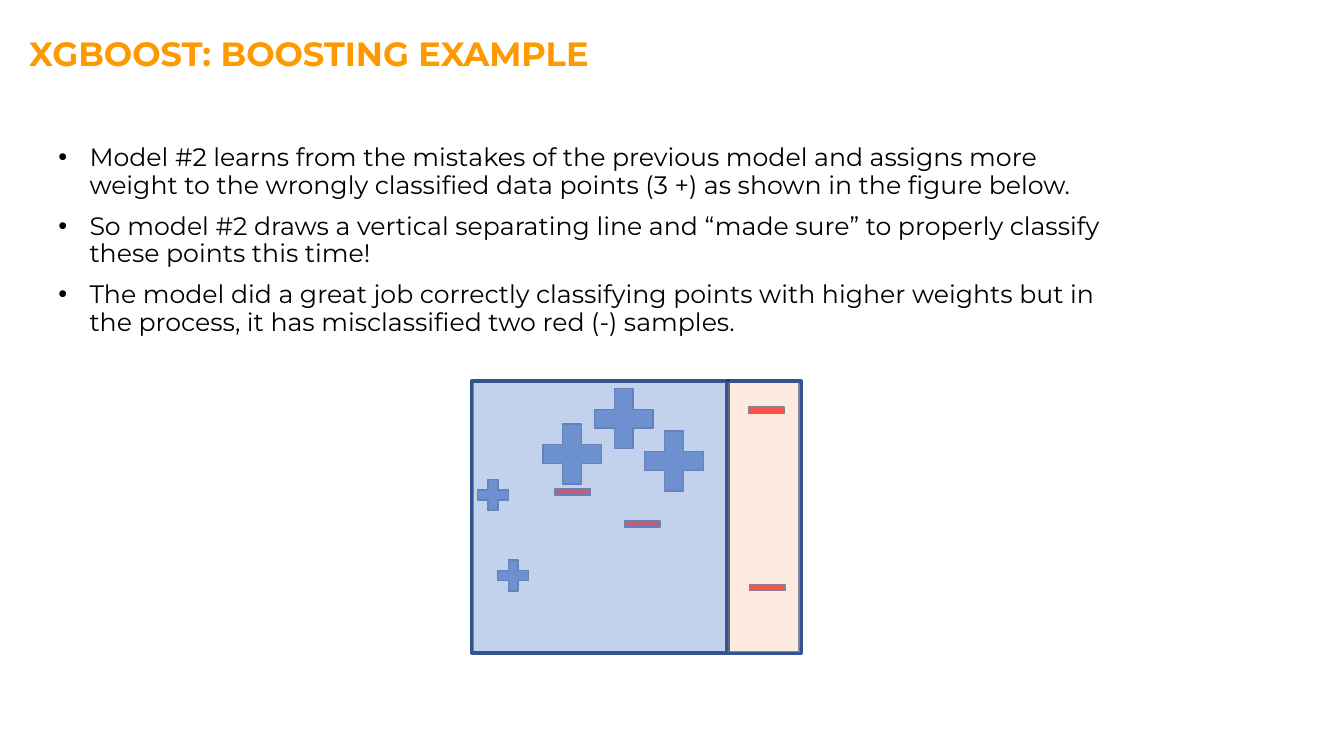
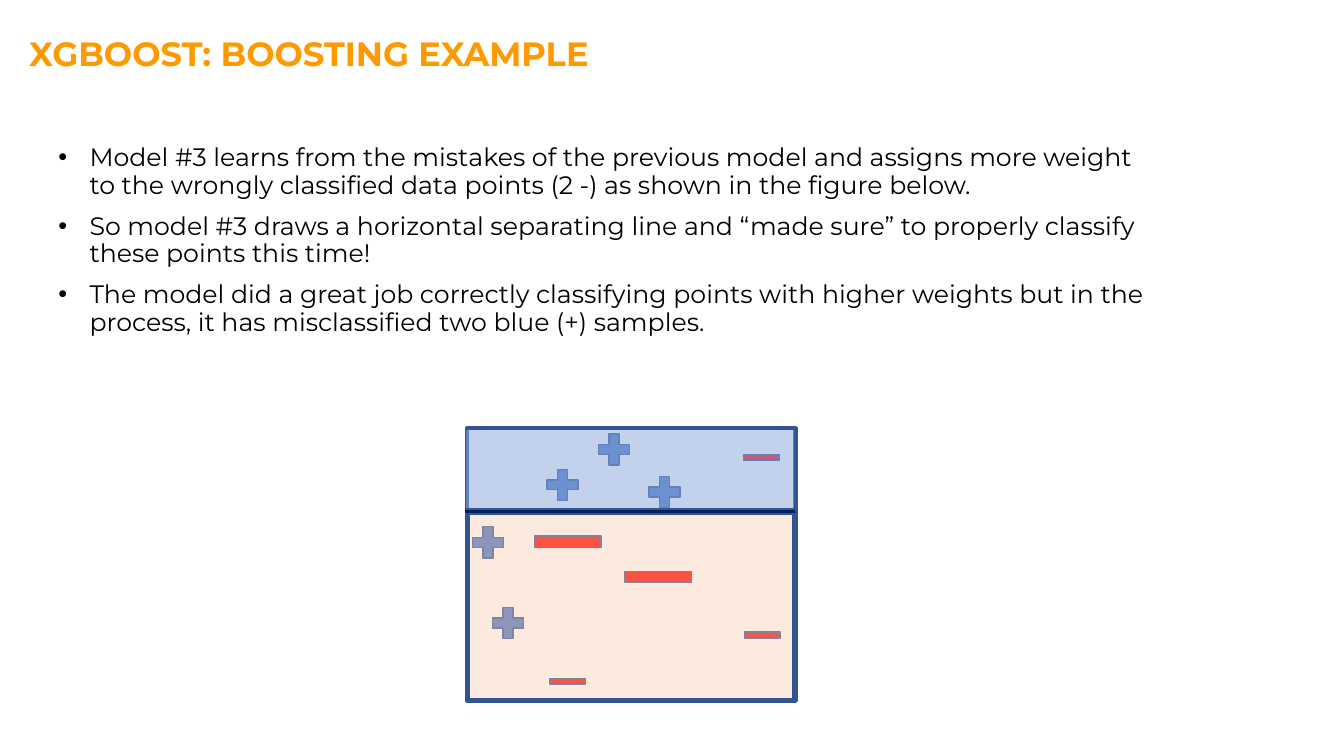
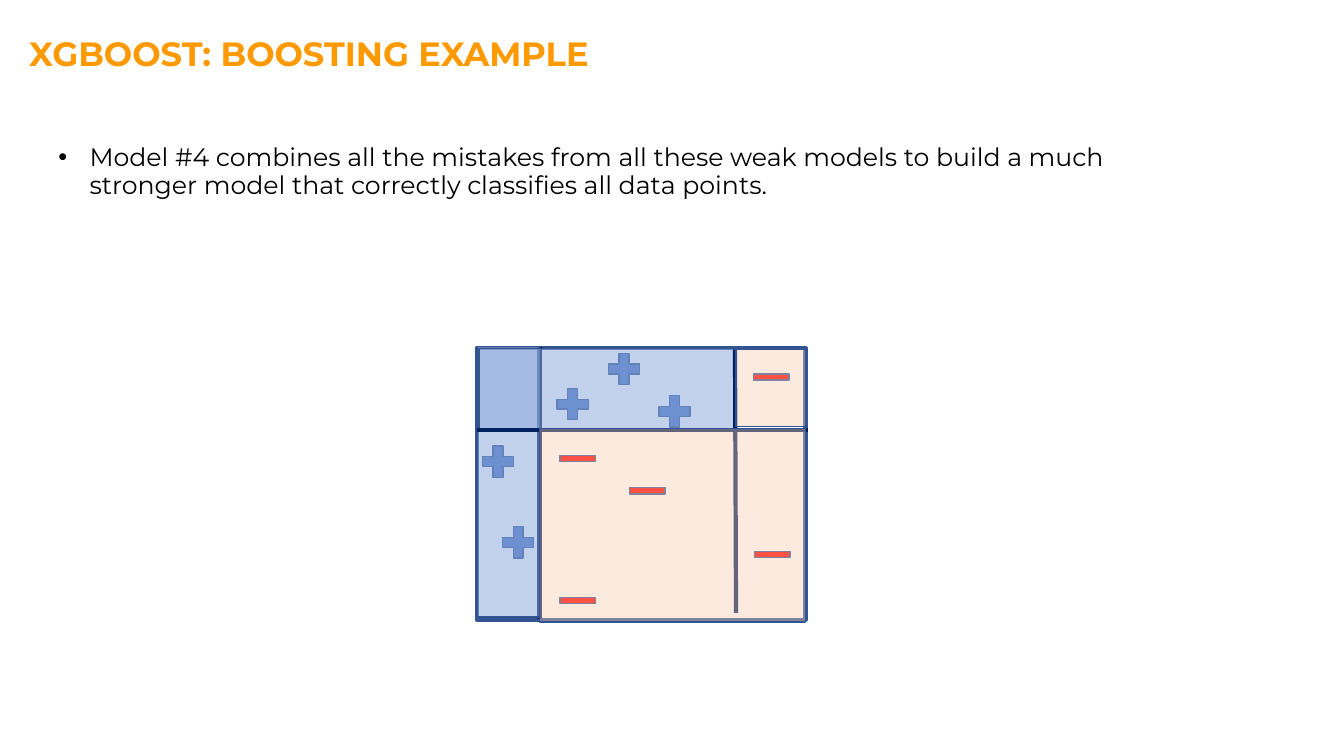
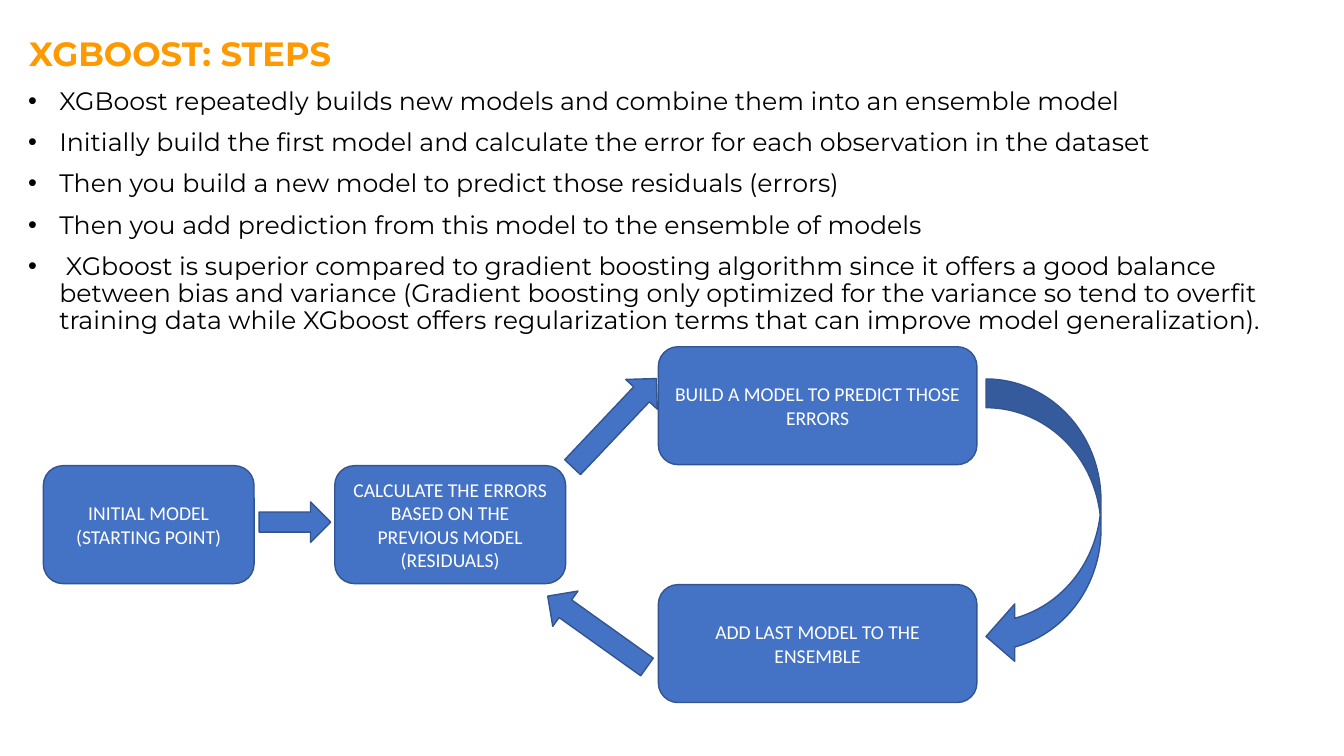
from dataclasses import dataclass

from lxml import etree
from pptx import Presentation
from pptx import util as u
from pptx.dml.color import RGBColor
from pptx.enum import shapes, text
from pptx.oxml import ns


@dataclass(frozen=True)
class Theme:
    title: str = "FF9900"
    ink: str = "000000"
    white: str = "FFFFFF"
    plus: str = "4472C4"
    minus: str = "FF0000"
    edge: str = "325491"
    divider: str = "002060"
    plus_zone: str = "8FAADC"
    minus_zone: str = "F8CBAD"
    plus_alpha: int = 54
    minus_alpha: int = 40
    thick: float = 3
    thin: float = 1
    heading_font: str = "Montserrat"
    step_font: str = "Calibri"
    title_size: int = 24
    body_size: int = 18
    step_size: int = 14


THEME = Theme()
KIND = shapes.MSO_SHAPE

FRAME_SIZE = (3.26, 2.7)
PLUS_SIZE = (0.42, 0.42)
BIG_PLUS_SIZE = (0.79, 0.81)
MINUS_SIZE = (0.48, 0.26)
BIG_MINUS_SIZE = (0.9, 0.47)

LEFT_PLUSES = [(0, 0.92), (0.2, 1.72)]
TOP_PLUSES = [(1.25, 0), (0.74, 0.35), (1.75, 0.42)]
HEAVY_PLUSES = [(x - 0.14, y - 0.03) for x, y in TOP_PLUSES]
RIGHT_MINUSES = [(2.68, 0.16), (2.69, 1.92)]
MIDDLE_MINUSES = [(0.76, 0.97), (1.45, 1.29)]
HEAVY_MINUSES = [(0.55, 0.89), (1.45, 1.24)]
LOW_MINUSES = [(0.76, 2.38)]

EXAMPLE_TITLE = "XGBOOST: BOOSTING EXAMPLE"
MODELS = [
    {
        "points": [
            "Model #2 learns from the mistakes of the previous model and assigns more weight to the wrongly classified data points (3 +) as shown in the figure below.",
            "So model #2 draws a vertical separating line and “made sure” to properly classify these points this time!",
            "The model did a great job correctly classifying points with higher weights but in the process, it has misclassified two red (-) samples.",
        ],
        "points_width": 10.83,
        "origin": (4.68, 3.78),
        "pluses": [(LEFT_PLUSES, PLUS_SIZE), (HEAVY_PLUSES, BIG_PLUS_SIZE)],
        "minuses": [(RIGHT_MINUSES + MIDDLE_MINUSES, MINUS_SIZE)],
        "under_lines": [(2.54, -0.01, 2.54, 2.69)],
        "over_lines": [],
        "plus_zones": [(0, 0.01, 2.52, 2.68)],
        "minus_zones": [(2.53, 0.01, 0.73, 2.69)],
    },
    {
        "points": [
            "Model #3 learns from the mistakes of the previous model and assigns more weight to the wrongly classified data points (2 -) as shown in the figure below.",
            "So model #3 draws a horizontal separating line and “made sure” to properly classify these points this time!",
            "The model did a great job correctly classifying points with higher weights but in the process, it has misclassified two blue (+) samples.",
        ],
        "points_width": 11.05,
        "origin": (4.63, 4.25),
        "pluses": [(LEFT_PLUSES + TOP_PLUSES, PLUS_SIZE)],
        "minuses": [(RIGHT_MINUSES + LOW_MINUSES, MINUS_SIZE), (HEAVY_MINUSES, BIG_MINUS_SIZE)],
        "under_lines": [(3.26, 0.82, -0.02, 0.82)],
        "over_lines": [],
        "plus_zones": [(-0.01, 0.01, 3.26, 0.79)],
        "minus_zones": [(0.03, 0.85, 3.2, 1.83)],
    },
    {
        "points": [
            "Model #4 combines all the mistakes from all these weak models to build a much stronger model that correctly classifies all data points.",
        ],
        "points_width": 10.7,
        "origin": (4.73, 3.45),
        "pluses": [(LEFT_PLUSES + TOP_PLUSES, PLUS_SIZE)],
        "minuses": [(RIGHT_MINUSES + MIDDLE_MINUSES + LOW_MINUSES, MINUS_SIZE)],
        "under_lines": [(0.62, -0.01, 0.62, 2.69)],
        "over_lines": [(0, 0.82, 3.28, 0.82), (2.56, 0.02, 2.57, 2.63)],
        "plus_zones": [(0, -0.01, 0.62, 2.68), (0.02, 0.01, 2.54, 0.82)],
        "minus_zones": [(0.62, 0.8, 2.64, 1.92), (2.57, 0.02, 0.69, 0.76)],
    },
]

STEPS_TITLE = "XGBOOST: STEPS"
STEPS_POINTS = [
    "XGBoost repeatedly builds new models and combine them into an ensemble model",
    "Initially build the first model and calculate the error for each observation in the dataset",
    "Then you build a new model to predict those residuals (errors)",
    "Then you add prediction from this model to the ensemble of models",
    " XGboost is superior compared to gradient boosting algorithm since it offers a good balance between bias and variance (Gradient boosting only optimized for the variance so tend to overfit training data while XGboost offers regularization terms that can improve model generalization).",
]
STEP_HEIGHT = 1.17
STEPS = [
    ("INITIAL MODEL (STARTING POINT)", 0.43, 4.62, 2.09),
    ("CALCULATE THE ERRORS BASED ON THE PREVIOUS MODEL (RESIDUALS)", 3.32, 4.62, 2.29),
    ("BUILD A MODEL TO PREDICT THOSE ERRORS", 6.53, 3.44, 3.16),
    ("ADD LAST MODEL TO THE ENSEMBLE", 6.53, 5.8, 3.16),
]
STEP_ARROWS = [
    (KIND.RIGHT_ARROW, (2.57, 4.98, 0.71, 0.4), 0),
    (KIND.RIGHT_ARROW, (5.49, 3.98, 1.21, 0.43), 313.4),
    (KIND.RIGHT_ARROW, (5.32, 6.05, 1.21, 0.43), 215.5),
    (KIND.CURVED_LEFT_ARROW, (9.78, 3.76, 1.14, 2.84), 0),
]


def inches(values):
    return [u.Inches(value) for value in values]


def apply(target, values):
    for name, value in values.items():
        setattr(target, name, value)


def write(paragraph, words, font, size, color, bold=False):
    run = paragraph.add_run()
    run.text = words
    apply(run.font, {"name": font, "size": u.Pt(size), "bold": bold})
    run.font.color.rgb = RGBColor.from_string(color)


def add_title(slide, words):
    frame = slide.shapes.add_textbox(*inches((0.24, 0.28, 8.3, 0.57))).text_frame
    sides = ("margin_left", "margin_top", "margin_right", "margin_bottom")
    apply(frame, dict.fromkeys(sides, u.Inches(0.05)))
    apply(frame, {"word_wrap": True, "auto_size": text.MSO_AUTO_SIZE.SHAPE_TO_FIT_TEXT})
    write(frame.paragraphs[0], words, THEME.heading_font, THEME.title_size, THEME.title, True)


def add_points(slide, points, left, top, width):
    frame = slide.shapes.add_textbox(*inches((left, top, width, 4.95))).text_frame
    frame.word_wrap = True
    for index, point in enumerate(points):
        paragraph = frame.add_paragraph() if index else frame.paragraphs[0]
        props = paragraph._p.get_or_add_pPr()
        props.set("marL", str(u.Inches(0.31)))
        props.set("indent", str(-u.Inches(0.31)))
        etree.SubElement(props, ns.qn("a:buFont")).set("typeface", "Arial")
        etree.SubElement(props, ns.qn("a:buChar")).set("char", "•")
        apply(paragraph, {"line_spacing": 0.9, "space_before": u.Pt(10 if index else 0)})
        write(paragraph, point, THEME.heading_font, THEME.body_size, THEME.ink)


def add_block(slide, kind, box, fill=None, alpha=None, weight=THEME.thin):
    block = slide.shapes.add_shape(kind, *inches(box))
    block.shadow.inherit = False
    if fill:
        block.fill.solid()
        block.fill.fore_color.rgb = RGBColor.from_string(fill)
    else:
        block.fill.background()
    if alpha:
        color = block.fill._xPr.find(ns.qn("a:solidFill"))[0]
        etree.SubElement(color, ns.qn("a:alpha")).set("val", str(alpha * 1000))
    block.line.color.rgb = RGBColor.from_string(THEME.edge)
    block.line.width = u.Pt(weight)
    return block


def add_divider(slide, ends):
    divider = slide.shapes.add_connector(shapes.MSO_CONNECTOR.STRAIGHT, *inches(ends))
    divider.line.color.rgb = RGBColor.from_string(THEME.divider)
    divider.line.width = u.Pt(THEME.thick)
    etree.SubElement(divider._element.spPr, ns.qn("a:effectLst"))


def add_classifier(slide, model):
    left, top = model["origin"]

    def place(x, y, *size):
        return (left + x, top + y, *size)

    def add_dividers(lines):
        for x1, y1, x2, y2 in lines:
            add_divider(slide, place(x1, y1) + place(x2, y2))

    def add_zones(zones, fill, alpha):
        for zone in zones:
            add_block(slide, KIND.RECTANGLE, place(*zone), fill, alpha)

    add_block(slide, KIND.RECTANGLE, place(0, 0, *FRAME_SIZE), weight=THEME.thick)
    add_dividers(model["under_lines"])
    for sign, kind, color in (
        ("pluses", KIND.MATH_PLUS, THEME.plus),
        ("minuses", KIND.MATH_MINUS, THEME.minus),
    ):
        for spots, size in model[sign]:
            for spot in spots:
                add_block(slide, kind, place(*spot, *size), color)
    add_zones(model["plus_zones"], THEME.plus_zone, THEME.plus_alpha)
    add_dividers(model["over_lines"])
    add_zones(model["minus_zones"], THEME.minus_zone, THEME.minus_alpha)


def add_step(slide, words, left, top, width):
    step = add_block(slide, KIND.ROUNDED_RECTANGLE, (left, top, width, STEP_HEIGHT), THEME.plus)
    apply(step.text_frame, {"word_wrap": True, "vertical_anchor": text.MSO_ANCHOR.MIDDLE})
    paragraph = step.text_frame.paragraphs[0]
    paragraph.alignment = text.PP_ALIGN.CENTER
    write(paragraph, words, THEME.step_font, THEME.step_size, THEME.white)


def main():
    deck = Presentation()
    apply(deck, {"slide_width": u.Inches(13.33), "slide_height": u.Inches(7.5)})
    blank = deck.slide_layouts[6]

    for model in MODELS:
        slide = deck.slides.add_slide(blank)
        add_title(slide, EXAMPLE_TITLE)
        add_classifier(slide, model)
        add_points(slide, model["points"], 0.48, 1.39, model["points_width"])

    slide = deck.slides.add_slide(blank)
    add_title(slide, STEPS_TITLE)
    for step in STEPS:
        add_step(slide, *step)
    for kind, box, angle in STEP_ARROWS:
        add_block(slide, kind, box, THEME.plus).rotation = angle
    add_points(slide, STEPS_POINTS, 0.18, 0.83, 12.98)

    deck.save("out.pptx")


if __name__ == "__main__":
    main()
